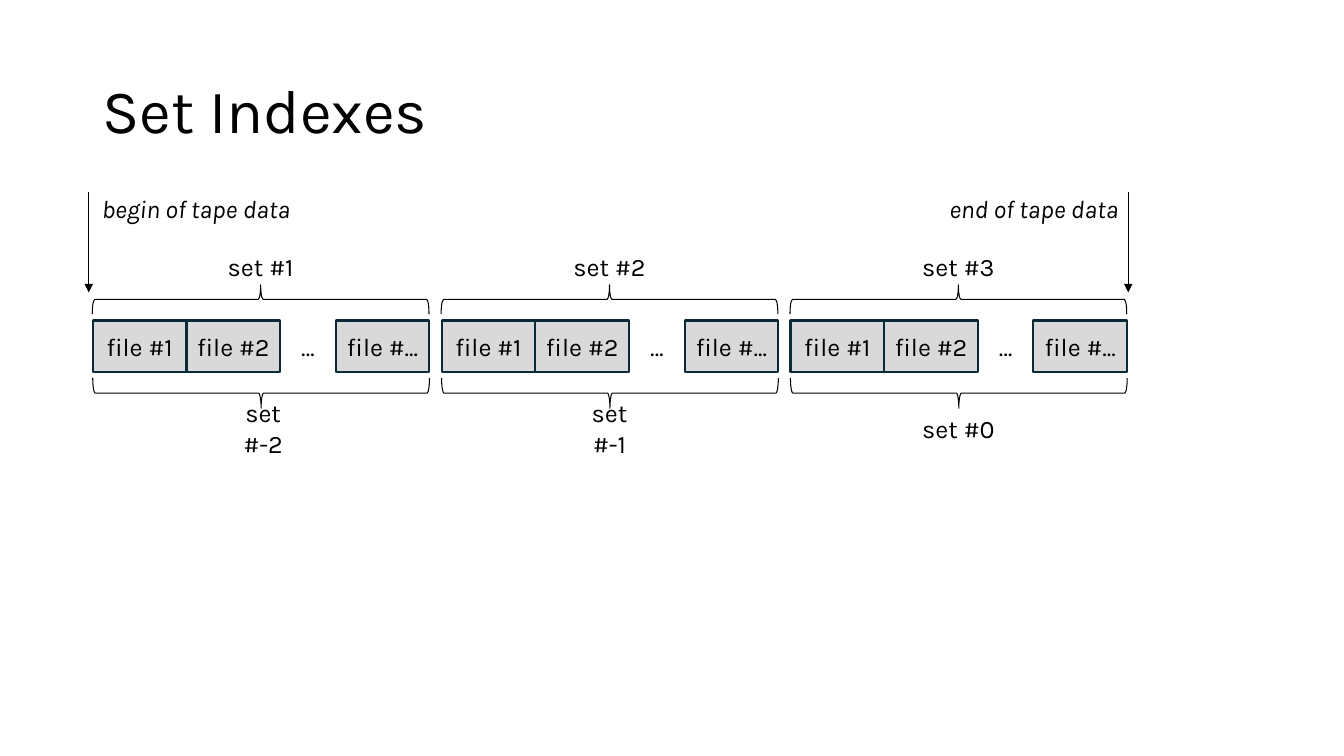
import pptx
import pptx.dml.color
import pptx.enum.shapes
import pptx.enum.text
import pptx.oxml.ns
import pptx.util
from lxml import etree

RGBColor = pptx.dml.color.RGBColor
Shape = pptx.enum.shapes.MSO_SHAPE
Align = pptx.enum.text.PP_ALIGN

BLACK = RGBColor(0x00, 0x00, 0x00)
FILE_FILL = RGBColor(0xD9, 0xD9, 0xD9)
FILE_LINE = RGBColor(0x09, 0x2A, 0x39)
FONT = "Karla"
EMU_PER_PX = 9144

FILE_WIDTH = 93
FILE_HEIGHT = 51
DOTS_WIDTH = 55
SET_WIDTH = 3 * FILE_WIDTH + DOTS_WIDTH
SET_PITCH = 346
SETS = [("set #1", "set #-2", 98), ("set #2", "set #-1", 93), ("set #3", "set #0", 93)]


def px(*lengths):
    return [pptx.util.Emu(length * EMU_PER_PX) for length in lengths]


def write(shape, text, size=18, align=Align.CENTER, italic=None):
    frame = shape.text_frame
    frame.word_wrap = True
    frame.vertical_anchor = pptx.enum.text.MSO_ANCHOR.MIDDLE
    frame.text = text
    para = frame.paragraphs[0]
    para.alignment = align
    font = para.runs[0].font
    font.name = FONT
    font.size = pptx.util.Pt(size)
    font.color.rgb = BLACK
    font.italic = italic
    return para


def add_label(page, box, text, **style):
    return write(page.shapes.add_textbox(*px(*box)), text, **style)


def add_title(page, box):
    para = add_label(page, box, "Set Indexes", size=44, align=Align.LEFT)
    para.line_spacing = 0.9


def add_file(page, box, text):
    shape = page.shapes.add_shape(Shape.RECTANGLE, *px(*box))
    shape.shadow.inherit = False
    shape.fill.solid()
    shape.fill.fore_color.rgb = FILE_FILL
    shape.line.color.rgb = FILE_LINE
    shape.line.width = pptx.util.Pt(1.5)
    write(shape, text)


def add_brace(page, box, rotation):
    left, top, length, depth = box
    inset = (length - depth) // 2
    brace = page.shapes.add_shape(
        Shape.LEFT_BRACE, *px(left + inset, top - inset, depth, length))
    brace.rotation = rotation
    brace.shadow.inherit = False
    brace.fill.background()
    brace.line.color.rgb = BLACK
    brace.line.width = pptx.util.Pt(0.75)


def add_set(page, box, upper, lower, lower_width):
    left, top, width, height = box
    dots_left = left + 2 * FILE_WIDTH
    files = [(left, "file #1"), (left + FILE_WIDTH, "file #2"),
             (dots_left + DOTS_WIDTH, "file #...")]
    for file_left, text in files:
        add_file(page, (file_left, top, FILE_WIDTH, height), text)
    add_label(page, (dots_left, top, DOTS_WIDTH, height), "…")
    add_brace(page, (left, top - 36, width, 29), 90)
    add_brace(page, (left, top + 57, width, 30), 270)
    label_left = left + (width - FILE_WIDTH) // 2
    add_label(page, (label_left, top - 79, FILE_WIDTH, height), upper)
    add_label(page, (label_left, top + 81, lower_width, height), lower)


def add_marker(page, box, arrow_left, text, align):
    left, top, width, height = box
    arrow = page.shapes.add_connector(
        pptx.enum.shapes.MSO_CONNECTOR.STRAIGHT,
        *px(arrow_left, top + 9, arrow_left, top + 109))
    arrow.line.color.rgb = BLACK
    arrow.line.width = pptx.util.Pt(0.75)
    tail = etree.SubElement(arrow.line._get_or_add_ln(), pptx.oxml.ns.qn("a:tailEnd"))
    tail.set("type", "triangle")
    etree.SubElement(arrow._element.spPr, pptx.oxml.ns.qn("a:effectLst"))
    add_label(page, box, text, align=align, italic=True)


def main():
    deck = pptx.Presentation()
    deck.slide_width, deck.slide_height = px(1333, 750)
    page = deck.slides.add_slide(deck.slide_layouts[6])
    add_title(page, (92, 40, 1150, 145))
    for index, labels in enumerate(SETS):
        add_set(page, (92 + index * SET_PITCH, 318, SET_WIDTH, FILE_HEIGHT), *labels)
    add_marker(page, (88, 181, 213, 51), 88, "begin of tape data", Align.CENTER)
    add_marker(page, (906, 181, 213, 51), 1119, "end of tape data", Align.RIGHT)
    deck.save("out.pptx")


if __name__ == "__main__":
    main()
